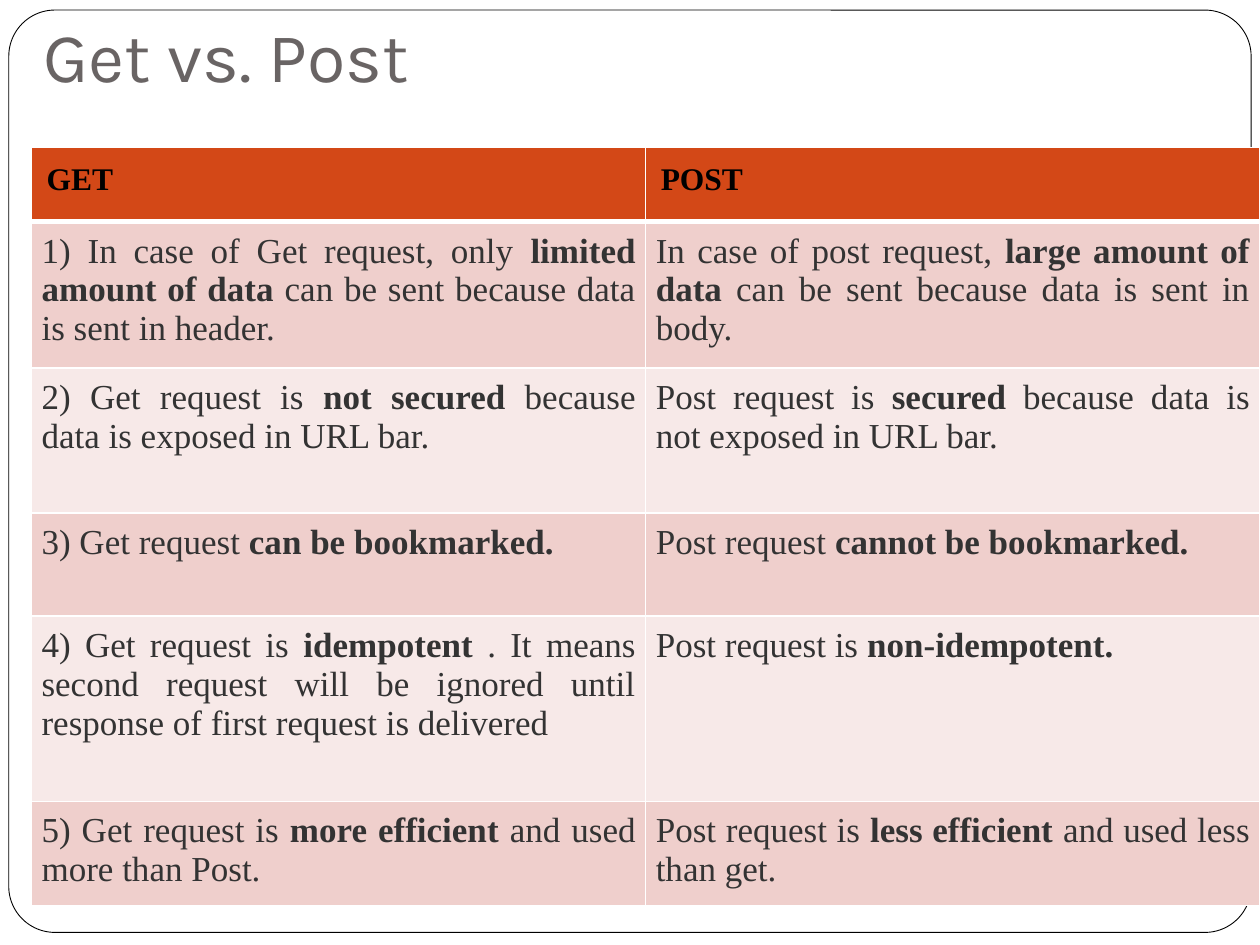
"""Build the Get vs. Post comparison slide."""
from lxml import etree
from pptx import Presentation
from pptx.dml.color import RGBColor
from pptx.enum import shapes, text
from pptx.oxml import ns
from pptx.util import Inches, Pt

TITLE = "Get vs. Post"
HEADER = ["GET", "POST"]
ROWS = [
    [("1) In case of Get request, only ", "limited amount of data ",
      "can be sent because data is sent in header."),
     ("In case of post request, ", "large amount of data ",
      "can be sent because data is sent in body.")],
    [("2) Get request is ", "not secured ", "because data is exposed in URL bar."),
     ("Post request is ", "secured ", "because data is not exposed in URL bar.")],
    [("3) Get request ", "can be bookmarked."),
     ("Post request ", "cannot be bookmarked.")],
    [("4) Get request is ", "idempotent ",
      ". It means second request will be ignored until response of first request is delivered"),
     ("Post request is ", "non-idempotent.")],
    [("5) Get request is ", "more efficient ", "and used more than Post."),
     ("Post request is ", "less efficient ", "and used less than get.")],
]
HEIGHTS = [0.59, 1.15, 1.15, 0.82, 1.47, 0.82]
TABLE_BOX = (0.25, 1.17, 9.75, sum(HEIGHTS))

THEME = {
    "white": "FFFFFF", "frame": "000000", "head": "D34817",
    "bands": ["EFCFCC", "F7E9E8"],
    "title": {"name": "Karla", "size": 40, "color": "696464", "bold": False},
    "header": {"name": "Times New Roman", "size": 18, "color": "000000", "bold": True},
    "body": {"name": "Times New Roman", "size": 20, "color": "333333", "bold": False},
}


def rgb(name):
    return RGBColor.from_string(name)


def set_attrs(obj, values):
    for key, value in values.items():
        setattr(obj, key, value)


def margins(left, top, right, bottom):
    sides = ("left", "top", "right", "bottom")
    return {f"margin_{side}": Inches(v) for side, v in zip(sides, (left, top, right, bottom))}


def add_run(p, words, style, **changes):
    r = p.add_run()
    r.text = words
    look = {**style, **changes}
    set_attrs(r.font, {"name": look["name"], "size": Pt(look["size"]), "bold": look["bold"]})
    r.font.color.rgb = rgb(look["color"])


def set_borders(cell, widths):
    pr = cell._tc.get_or_add_tcPr()
    for i, (side, width) in enumerate(widths.items()):
        ln = etree.Element(ns.qn(f"a:ln{side}"), w=str(Pt(width)))
        fill = etree.SubElement(ln, ns.qn("a:solidFill"))
        etree.SubElement(fill, ns.qn("a:srgbClr"), val=THEME["white"])
        pr.insert(i, ln)


def add_frame(s):
    sp = s.shapes.add_shape(shapes.MSO_SHAPE.ROUNDED_RECTANGLE,
                            *map(Inches, (0.07, 0.08, 9.86, 7.32)))
    sp.adjustments[0] = 0.05
    sp.shadow.inherit = False
    sp.fill.solid()
    sp.fill.fore_color.rgb = rgb(THEME["white"])
    sp.line.color.rgb = rgb(THEME["frame"])
    sp.line.width = Pt(0.5)


def add_title(s):
    tf = s.shapes.add_textbox(*map(Inches, (0.25, 0, 9.25, 1.5))).text_frame
    set_attrs(tf, {"word_wrap": True, "vertical_anchor": text.MSO_ANCHOR.TOP,
                   **margins(0.1, 0.1, 0.1, 0.1)})
    add_run(tf.paragraphs[0], TITLE, THEME["title"])


def add_comparison(s):
    table = s.shapes.add_table(len(HEIGHTS), len(HEADER), *map(Inches, TABLE_BOX)).table
    for col in table.columns:
        col.width = Inches(TABLE_BOX[2] / len(HEADER))
    for i, (height, row) in enumerate(zip(HEIGHTS, [[(h,) for h in HEADER], *ROWS])):
        table.rows[i].height = Inches(height)
        is_head = i == 0
        style = THEME["header" if is_head else "body"]
        fill = THEME["head"] if is_head else THEME["bands"][(i - 1) % 2]
        for j, parts in enumerate(row):
            cell = table.cell(i, j)
            set_attrs(cell, margins(*[0.12 if is_head else 0.08] * 4))
            cell.fill.solid()
            cell.fill.fore_color.rgb = rgb(fill)
            set_borders(cell, {"L": 1, "R": 1, "T": 3 if i == 1 else 1, "B": 3 if is_head else 1})
            p = cell.text_frame.paragraphs[0]
            p.alignment = text.PP_ALIGN.LEFT if is_head else text.PP_ALIGN.JUSTIFY
            for k, words in enumerate(parts):
                add_run(p, words, style, bold=is_head or k == 1)


def main():
    prs = Presentation()
    set_attrs(prs, {"slide_width": Inches(10), "slide_height": Inches(7.5)})
    s = prs.slides.add_slide(prs.slide_layouts[6])
    add_frame(s)
    add_title(s)
    add_comparison(s)
    prs.save("out.pptx")


if __name__ == "__main__":
    main()
